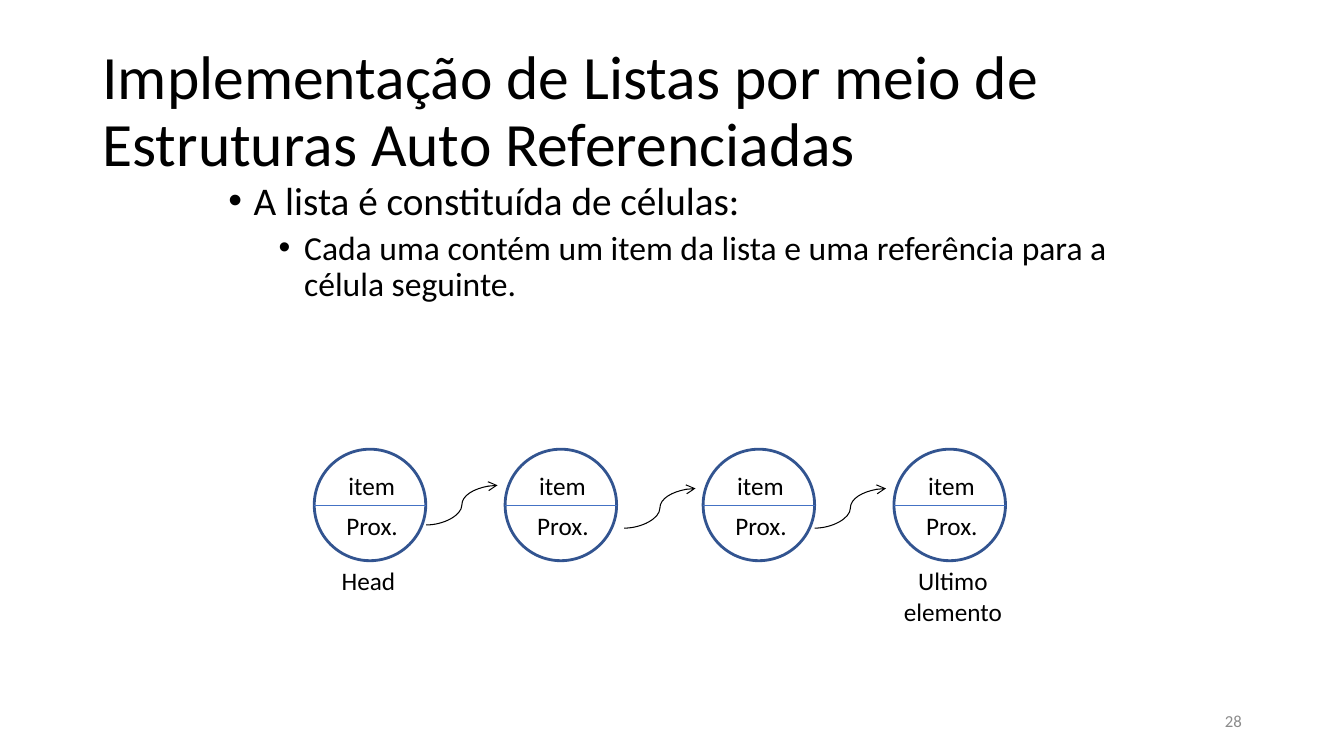
"""Builds the slide on linked lists made of self-referencing cells."""
from dataclasses import dataclass
from typing import Any

from lxml.etree import SubElement
from pptx import Presentation
from pptx.dml.color import RGBColor
from pptx.enum.shapes import MSO_CONNECTOR, MSO_SHAPE
from pptx.enum.text import MSO_ANCHOR, MSO_AUTO_SIZE, PP_ALIGN
from pptx.oxml.ns import qn
from pptx.util import Cm, Pt

BLACK = RGBColor(0x00, 0x00, 0x00)
GRAY = RGBColor(0x8B, 0x8B, 0x8B)
DARK_BLUE = RGBColor(0x32, 0x54, 0x90)
BLUE = RGBColor(0x44, 0x72, 0xC4)

DIAMETER = 2.81
CELL_TOP = 11.32
CELL_MIDDLE = 12.73
CELL_LEFTS = (7.92, 12.73, 17.72, 22.53)
CAPTION_TOP = 14.13
LINK_WIDTH = 1.8
LINK_RISE = 1.0


@dataclass(frozen=True)
class Box:
    left: float
    top: float
    width: float
    height: float


@dataclass(frozen=True)
class Label:
    text: str
    box: Box
    size: float = 18
    color: RGBColor = BLACK
    align: PP_ALIGN = PP_ALIGN.LEFT
    anchor: MSO_ANCHOR = MSO_ANCHOR.TOP
    wrap: bool = False


@dataclass(frozen=True)
class Bullet:
    text: str
    level: int
    size: float
    margin: float
    before: float


@dataclass(frozen=True)
class Link:
    left: float
    bottom: float


TITLE = Label(
    "Implementação de Listas por meio de\vEstruturas Auto Referenciadas",
    Box(2.33, 1.01, 29.21, 3.68), size=44, anchor=MSO_ANCHOR.MIDDLE, wrap=True)
BODY_BOX = Box(5.5, 4.45, 22.86, 5.28)
BULLETS = (
    Bullet("A lista é constituída de células:", 0, 28, 0.64, 0),
    Bullet("Cada uma contém um item da lista e uma referência para a célula seguinte.",
           1, 24, 1.91, 5),
)
LINKS = (Link(10.74, 13.23), Link(15.73, 13.31), Link(20.53, 13.31))
CAPTIONS = (
    Label("Head", Box(8.36, CAPTION_TOP, 1.85, 1.02)),
    Label("Ultimo\nelemento", Box(22.53, CAPTION_TOP, 2.97, 1.78), align=PP_ALIGN.CENTER),
    Label("28", Box(23.93, 17.65, 7.62, 1.01), size=12, color=GRAY,
          align=PP_ALIGN.RIGHT, anchor=MSO_ANCHOR.MIDDLE, wrap=True),
)


def apply_formats(target: Any, formats: dict[str, Any]) -> None:
    for attribute, value in formats.items():
        setattr(target, attribute, value)


def place(target: Any, box: Box) -> None:
    apply_formats(target, {"left": Cm(box.left), "top": Cm(box.top),
                           "width": Cm(box.width), "height": Cm(box.height)})


def style_font(paragraph: Any, size: float, color: RGBColor) -> None:
    apply_formats(paragraph.font, {"name": "Calibri", "size": Pt(size)})
    paragraph.font.color.rgb = color


def fill_label(holder: Any, label: Label, line_spacing: float = 1.0) -> None:
    place(holder, label.box)
    frame = holder.text_frame
    frame.text = label.text
    resize = MSO_AUTO_SIZE.NONE if label.wrap else MSO_AUTO_SIZE.SHAPE_TO_FIT_TEXT
    apply_formats(frame, {"word_wrap": label.wrap, "vertical_anchor": label.anchor,
                          "auto_size": resize})
    for paragraph in frame.paragraphs:
        apply_formats(paragraph, {"alignment": label.align, "line_spacing": line_spacing})
        style_font(paragraph, label.size, label.color)


def add_label(slide: Any, label: Label) -> None:
    fill_label(slide.shapes.add_textbox(0, 0, 0, 0), label)


def fill_body(body: Any) -> None:
    place(body, BODY_BOX)
    frame = body.text_frame
    frame.text = "\n".join(bullet.text for bullet in BULLETS)
    frame.auto_size = MSO_AUTO_SIZE.NONE
    for paragraph, bullet in zip(frame.paragraphs, BULLETS):
        properties = paragraph._p.get_or_add_pPr()
        properties.set("marL", str(Cm(bullet.margin)))
        properties.set("indent", str(Cm(-0.64)))
        SubElement(properties, qn("a:buFont"), typeface="Arial")
        SubElement(properties, qn("a:buChar"), char="•")
        apply_formats(paragraph, {"level": bullet.level, "line_spacing": 0.9,
                                  "space_before": Pt(bullet.before)})
        style_font(paragraph, bullet.size, BLACK)


def add_line(slide: Any, kind: MSO_CONNECTOR, start: tuple[float, float],
             end: tuple[float, float], color: RGBColor) -> Any:
    connector = slide.shapes.add_connector(kind, *map(Cm, start + end))
    connector.line.color.rgb = color
    connector.line.width = Pt(0.75)
    SubElement(connector._element.spPr, qn("a:effectLst"))
    return connector


def add_cell(slide: Any, left: float) -> None:
    circle = slide.shapes.add_shape(MSO_SHAPE.OVAL, Cm(left), Cm(CELL_TOP),
                                    Cm(DIAMETER), Cm(DIAMETER))
    circle.shadow.inherit = False
    circle.fill.background()
    circle.line.color.rgb = DARK_BLUE
    circle.line.width = Pt(2)
    add_line(slide, MSO_CONNECTOR.STRAIGHT, (left, CELL_MIDDLE),
             (left + DIAMETER, CELL_MIDDLE), BLUE)
    add_label(slide, Label("item", Box(left + 0.61, 11.73, 1.68, 1.02)))
    add_label(slide, Label("Prox.", Box(left + 0.56, CELL_MIDDLE, 1.8, 1.02)))


def add_link(slide: Any, link: Link) -> None:
    arrow = add_line(slide, MSO_CONNECTOR.CURVE, (link.left, link.bottom),
                     (link.left + LINK_WIDTH, link.bottom - LINK_RISE), BLACK)
    SubElement(arrow.line._get_or_add_ln(), qn("a:tailEnd"), type="arrow")


def main() -> None:
    presentation = Presentation()
    apply_formats(presentation, {"slide_width": Cm(33.87), "slide_height": Cm(19.05)})
    slide = presentation.slides.add_slide(presentation.slide_layouts[1])
    fill_label(slide.shapes.title, TITLE, line_spacing=0.9)
    fill_body(slide.placeholders[1])
    for left in CELL_LEFTS:
        add_cell(slide, left)
    for link in LINKS:
        add_link(slide, link)
    for caption in CAPTIONS:
        add_label(slide, caption)
    presentation.save("out.pptx")


if __name__ == "__main__":
    main()
